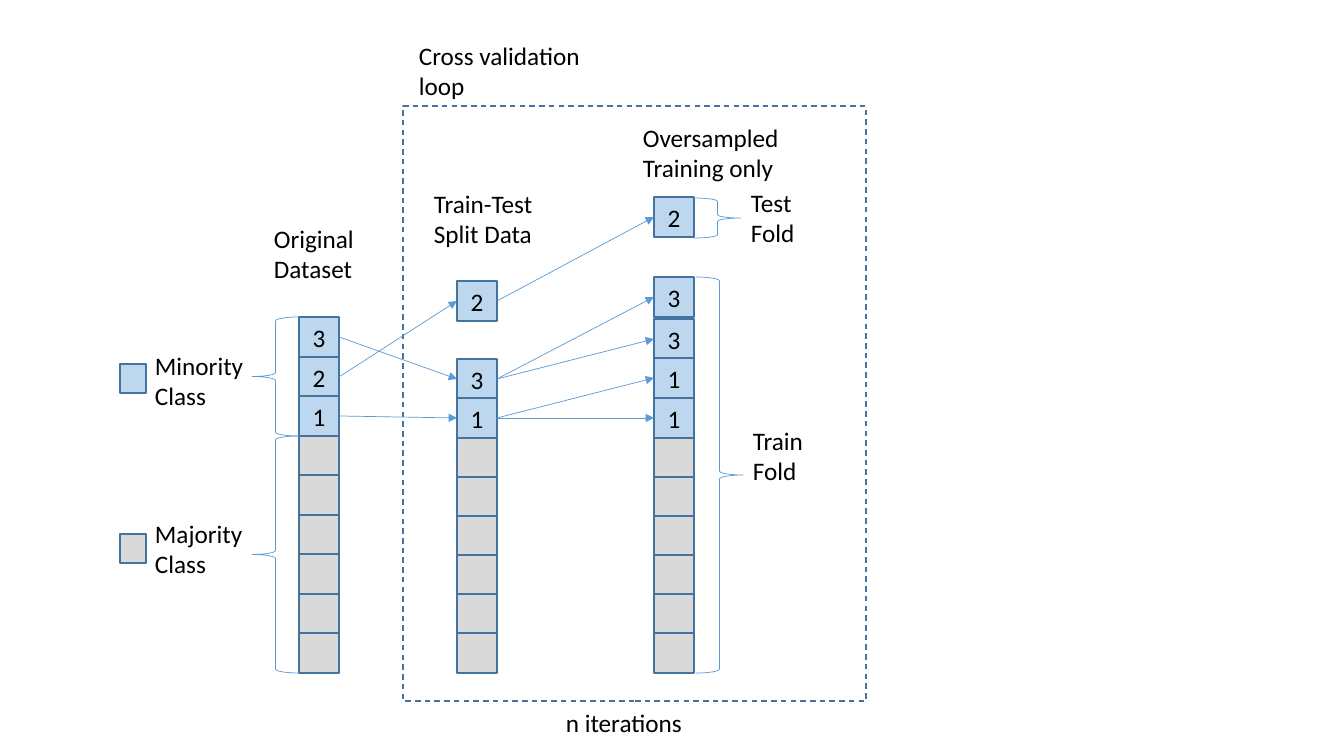
from pptx import Presentation
from pptx.dml.color import RGBColor
from pptx.enum.dml import MSO_LINE
from pptx.enum.shapes import MSO_CONNECTOR, MSO_SHAPE
from pptx.enum.text import MSO_ANCHOR, MSO_AUTO_SIZE, PP_ALIGN
from pptx.oxml.ns import qn
from pptx.util import Emu, Pt
from lxml.etree import SubElement

# Content: lengths are pixels, 100.8 to the inch
MINORITY, MAJORITY = "BDD7EE", "D9D9D9"
OUTLINE, ACCENT, INK = "43739E", "5B9BD5", "000000"
CELL, MAJORITY_CELLS, LAST_TOP = 40, 6, 633

# left edge, numbered minority cells (number, top), top of first majority cell
COLUMNS = {
    "dataset": (299, [("3", 317), ("2", 357), ("1", 396)], 436),
    "split": (457, [("2", 281), ("3", 359), ("1", 398)], 438),
    "oversampled": (654, [("2", 197), ("3", 277), ("3", 319),
                          ("1", 358), ("1", 398)], 438),
}
# column and minority cell at each end
ARROWS = [
    ("dataset", 0, "split", 1),
    ("dataset", 1, "split", 0),
    ("dataset", 2, "split", 2),
    ("split", 0, "oversampled", 0),
    ("split", 1, "oversampled", 1),
    ("split", 1, "oversampled", 2),
    ("split", 2, "oversampled", 3),
    ("split", 2, "oversampled", 4),
]
LABELS = [
    ("Cross validation loop", 409, 35, 183, 71),
    ("Oversampled Training only", 633, 117, 212, 71),
    ("Train-Test Split Data", 424, 183, 151, 71),
    ("Original Dataset", 264, 218, 139, 71),
    ("Minority Class", 145, 345, 111, 71),
    ("Majority Class", 145, 513, 111, 71),
    ("Test Fold", 741, 182, 104, 71),
    ("Train Fold", 743, 420, 104, 71),
    ("n iterations", 556, 702, 156, 40),
]
# left, top, width, height, rotation
BRACES = [
    (252, 317, 47, 119, 0),
    (252, 436, 47, 237, 0),
    (694, 198, 47, 40, 180),
    (696, 277, 47, 396, 180),
]
LEGEND = [(MINORITY, 120, 364, 26, 29), (MAJORITY, 120, 534, 26, 29)]
LOOP_FRAME = (403, 106, 463, 595)


def px(length):
    return Emu(round(length * 914400 / 100.8))


def color(value):
    return RGBColor.from_string(value)


presentation = Presentation()
presentation.slide_width, presentation.slide_height = px(1344), px(756)
slide = presentation.slides.add_slide(presentation.slide_layouts[6])
shapes = slide.shapes


def write(shape, text, align=PP_ALIGN.LEFT, anchor=MSO_ANCHOR.TOP, size=18):
    frame = shape.text_frame
    frame.word_wrap = True
    frame.vertical_anchor = anchor
    paragraph = frame.paragraphs[0]
    paragraph.alignment = align
    run = paragraph.add_run()
    run.text = text
    run.font.name, run.font.size = "Calibri", Pt(size)
    run.font.color.rgb = color(INK)


def add_box(box, fill=None, kind=MSO_SHAPE.RECTANGLE, line=OUTLINE, weight=1):
    shape = shapes.add_shape(kind, *map(px, box))
    shape.shadow.inherit = False
    if fill:
        shape.fill.solid()
        shape.fill.fore_color.rgb = color(fill)
    else:
        shape.fill.background()
    shape.line.color.rgb = color(line)
    shape.line.width = Pt(weight)
    return shape


def add_arrow(start, end):
    arrow = shapes.add_connector(MSO_CONNECTOR.STRAIGHT, 0, 0, 0, 0)
    arrow.begin_connect(start, 3)  # right side
    arrow.end_connect(end, 1)  # left side
    arrow.line.color.rgb = color(ACCENT)
    arrow.line.width = Pt(0.5)
    SubElement(arrow.line._get_or_add_ln(), qn("a:tailEnd"), type="triangle")
    SubElement(arrow._element.spPr, qn("a:effectLst"))


# Data columns: majority cells spread evenly down to a shared last row
minority_cells = {}
for column, (left, numbers, majority_top) in COLUMNS.items():
    step = (LAST_TOP - majority_top) / (MAJORITY_CELLS - 1)
    for index in range(MAJORITY_CELLS):
        top = round(majority_top + index * step)
        add_box((left, top, CELL, CELL), MAJORITY)
    minority_cells[column] = []
    for number, top in numbers:
        cell = add_box((left, top, CELL, CELL), MINORITY)
        cell.text_frame.margin_left = cell.text_frame.margin_right = 0
        write(cell, number, align=PP_ALIGN.CENTER, anchor=MSO_ANCHOR.MIDDLE)
        minority_cells[column].append(cell)

# Cross validation frame
loop_frame = add_box(LOOP_FRAME)
loop_frame.line.dash_style = MSO_LINE.DASH

# Braces and legend
for *box, rotation in BRACES:
    brace = add_box(box, kind=MSO_SHAPE.LEFT_BRACE, line=ACCENT, weight=0.5)
    brace.rotation = rotation
for fill, *box in LEGEND:
    add_box(box, fill)

# Labels
for text, *box in LABELS:
    label = shapes.add_textbox(*map(px, box))
    write(label, text)
    label.text_frame.auto_size = MSO_AUTO_SIZE.SHAPE_TO_FIT_TEXT

# Arrows between matching samples
for source, source_index, target, target_index in ARROWS:
    add_arrow(minority_cells[source][source_index],
              minority_cells[target][target_index])

presentation.save("out.pptx")
